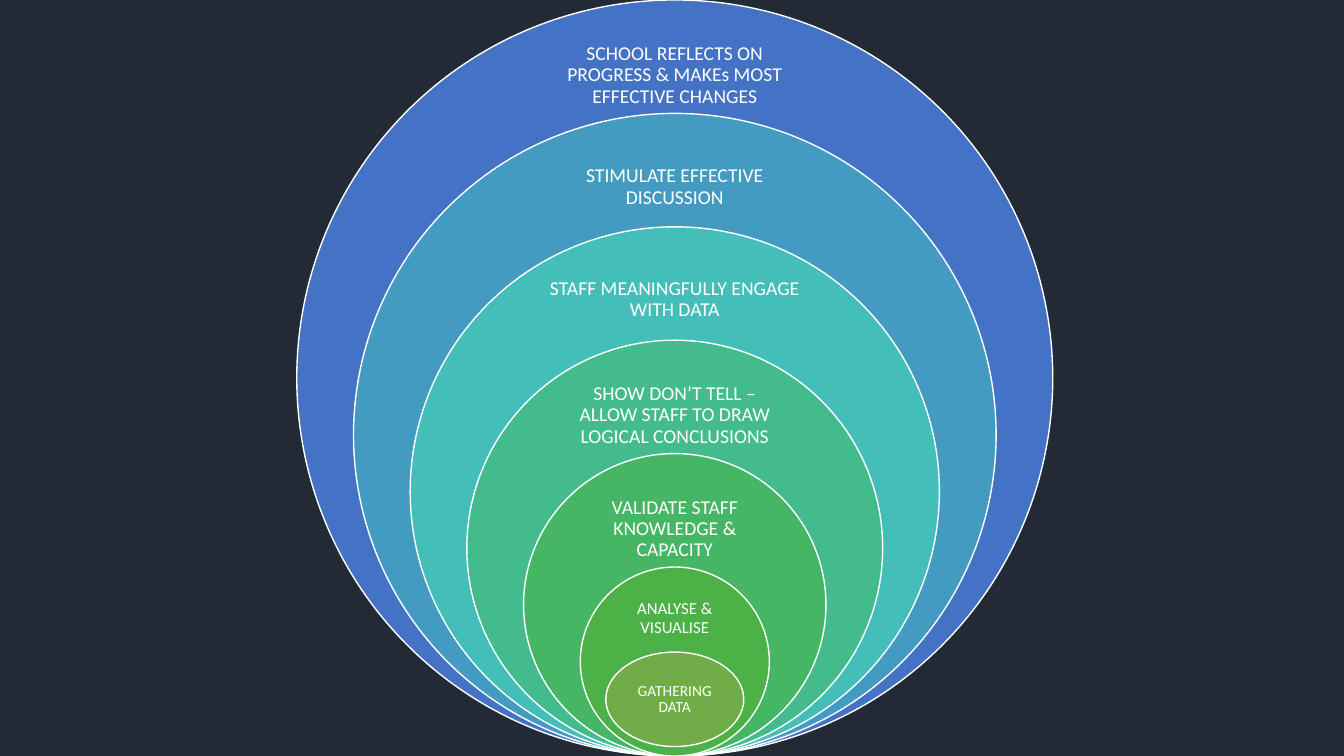
import pptx
import pptx.util
import pptx.dml.color
import pptx.enum.shapes
import pptx.enum.text

Pt = pptx.util.Pt
RGBColor = pptx.dml.color.RGBColor

BACKGROUND = RGBColor(0x22, 0x2A, 0x35)
WHITE = RGBColor(0xFF, 0xFF, 0xFF)
BLUE = RGBColor(0x44, 0x72, 0xC4)
SKY = RGBColor(0x44, 0x9B, 0xC1)
TEAL = RGBColor(0x43, 0xBE, 0xB9)
SEA_GREEN = RGBColor(0x43, 0xBB, 0x8D)
GREEN = RGBColor(0x45, 0xB6, 0x64)
LEAF = RGBColor(0x4C, 0xB1, 0x46)
OLIVE = RGBColor(0x70, 0xAD, 0x47)

SLIDE_W, SLIDE_H = 960, 540
CENTER_X = 482
DIAMETER_STEP = 81

prs = pptx.Presentation()
prs.slide_width, prs.slide_height = Pt(SLIDE_W), Pt(SLIDE_H)
slide = prs.slides.add_slide(prs.slide_layouts[6])
slide.background.fill.solid()
slide.background.fill.fore_color.rgb = BACKGROUND


def add_ellipse(top, width, height, color):
    sp = slide.shapes.add_shape(
        pptx.enum.shapes.MSO_SHAPE.OVAL,
        Pt(CENTER_X - width / 2), Pt(top), Pt(width), Pt(height))
    sp.shadow.inherit = False
    sp.fill.solid()
    sp.fill.fore_color.rgb = color
    sp.line.color.rgb = WHITE
    sp.line.width = Pt(1)


def add_label(text, top, width, height, size):
    sp = slide.shapes.add_textbox(
        Pt(CENTER_X - width / 2), Pt(top), Pt(width), Pt(height))
    tf = sp.text_frame
    tf.word_wrap = True
    tf.vertical_anchor = pptx.enum.text.MSO_ANCHOR.MIDDLE
    inset = Pt(0.56 * size)
    tf.margin_left = tf.margin_right = inset
    tf.margin_top = tf.margin_bottom = inset
    p = tf.paragraphs[0]
    p.alignment = pptx.enum.text.PP_ALIGN.CENTER
    p.line_spacing = 0.9
    r = p.add_run()
    r.text = text
    r.font.name = "Calibri"
    r.font.size = Pt(size)
    r.font.color.rgb = WHITE


# Colour, text, then label top, width, height and font size
rings = [
    (BLUE, "SCHOOL REFLECTS ON PROGRESS & MAKEs MOST EFFECTIVE CHANGES",
     27, 202, 54, 14),
    (SKY, "STIMULATE EFFECTIVE DISCUSSION", 107.5, 198, 52.5, 14),
    (TEAL, "STAFF MEANINGFULLY ENGAGE WITH DATA", 188, 196, 52, 14),
    (SEA_GREEN, "SHOW DON’T TELL – ALLOW STAFF TO DRAW LOGICAL CONCLUSIONS",
     270, 160.5, 53.5, 14),
    (GREEN, "VALIDATE STAFF KNOWLEDGE & CAPACITY", 351, 140.5, 54, 14),
    (LEAF, "ANALYSE & VISUALISE", 425.5, 91.5, 32.5, 12),
]

# Circles shrink by a fixed step and all rest on the slide's bottom edge
for i, (color, text, top, width, height, size) in enumerate(rings):
    diameter = SLIDE_H - i * DIAMETER_STEP
    add_ellipse(SLIDE_H - diameter, diameter, diameter, color)
    add_label(text, top, width, height, size)

add_ellipse(465.75, 98.5, 67.5, OLIVE)
add_label("GATHERING DATA", 482.5, 70, 34, 11)

prs.save("out.pptx")
